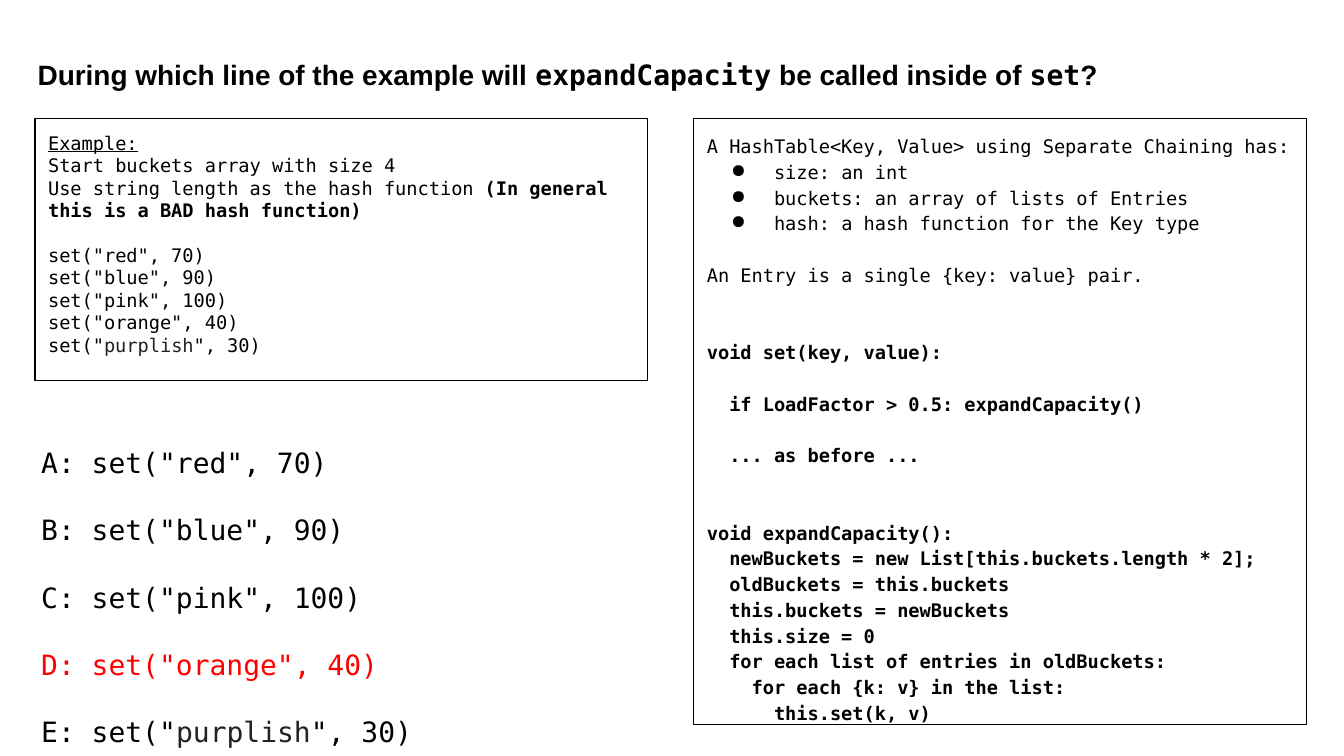
from lxml.etree import SubElement
from pptx import Presentation
from pptx.dml.color import RGBColor
from pptx.enum.shapes import MSO_SHAPE
from pptx.enum.text import MSO_ANCHOR, MSO_AUTO_SIZE, PP_ALIGN
from pptx.oxml.ns import qn
from pptx.util import Cm, Pt

BLACK = RGBColor(0x00, 0x00, 0x00)
GRAY = RGBColor(0x22, 0x22, 0x22)
RED = RGBColor(0xFF, 0x00, 0x00)
MONO = "DejaVu Sans Mono"
SANS = "Arial"
INSET = Cm(0.25)


def add_run(p, text, size=10, font=MONO, color=BLACK, bold=False, underline=False):
    r = p.add_run()
    r.text = text
    r.font.size = Pt(size)
    r.font.name = font
    r.font.color.rgb = color
    r.font.bold = bold
    r.font.underline = underline


def add_paragraph(tf, spacing=1.0, before=0):
    """Set up the frame on its first paragraph, then append further ones."""
    p = tf.paragraphs[0]
    if p.runs:
        p = tf.add_paragraph()
    else:
        tf.word_wrap = True
        tf.auto_size = MSO_AUTO_SIZE.NONE
        tf.vertical_anchor = MSO_ANCHOR.TOP
        tf.margin_left = tf.margin_right = INSET
        tf.margin_top = tf.margin_bottom = INSET
    p.alignment = PP_ALIGN.LEFT
    p.line_spacing = spacing
    p.space_before = Pt(before)
    return p


prs = Presentation()
prs.slide_width = Cm(25.4)
prs.slide_height = Cm(14.29)
s = prs.slides.add_slide(prs.slide_layouts[5])

# Title
title = s.shapes.title
title.left, title.top = Cm(0.46), Cm(0.74)
title.width, title.height = Cm(24.66), Cm(1.4)
p = add_paragraph(title.text_frame, spacing=1.15)
for text, font in [
    ("During which line of the example will ", SANS),
    ("expandCapacity", MONO),
    (" be called inside of ", SANS),
    ("set", MONO),
    ("?", SANS),
]:
    add_run(p, text, size=15, font=font, bold=True)

# Outlined boxes: example on the left, hash table code on the right
frames = []
for left, height in [(0.66, 4.95), (13.11, 11.46)]:
    sp = s.shapes.add_shape(MSO_SHAPE.RECTANGLE, Cm(left), Cm(2.24), Cm(11.58), Cm(height))
    sp.shadow.inherit = False
    sp.fill.background()
    sp.line.color.rgb = BLACK
    sp.line.width = Pt(0.75)
    frames.append(sp.text_frame)
example, code = frames

# Example text
add_run(add_paragraph(example), "Example:", underline=True)
add_run(add_paragraph(example), "Start buckets array with size 4")
p = add_paragraph(example)
add_run(p, "Use string length as the hash function ")
add_run(p, "(In general this is a BAD hash function)", bold=True)

# The same calls appear in the example and as the answer options
options = s.shapes.add_textbox(Cm(0.53), Cm(7.54), Cm(10.72), Cm(5.26)).text_frame
calls = [("red", 70), ("blue", 90), ("pink", 100), ("orange", 40), ("purplish", 30)]
for letter, (key, value) in zip("ABCDE", calls):
    before = 12 if letter == "A" else 0
    answer = RED if letter == "D" else BLACK
    for p, prefix, size, color in [
        (add_paragraph(example, before=before), "", 10, BLACK),
        (add_paragraph(options, spacing=2.0), f"{letter}: ", 15, answer),
    ]:
        add_run(p, f'{prefix}set("', size=size, color=color)
        add_run(p, key, size=size, color=GRAY if key == "purplish" else color)
        add_run(p, f'", {value})', size=size, color=color)

# Hash table description
add_run(add_paragraph(code, spacing=1.15), "A HashTable<Key, Value> using Separate Chaining has:")
for text in [
    "size: an int",
    "buckets: an array of lists of Entries",
    "hash: a hash function for the Key type",
]:
    p = add_paragraph(code, spacing=1.15)
    pPr = p._p.get_or_add_pPr()
    pPr.set("marL", str(Cm(1.27)))
    pPr.set("indent", str(Cm(-0.81)))
    SubElement(pPr, qn("a:buChar"), char="●")
    add_run(p, text)

LINE = 13.8  # height of one code line in points
add_run(add_paragraph(code, spacing=1.15, before=LINE), "An Entry is a single {key: value} pair.")

# Pseudocode, with the number of free lines above each line
for gap, text in [
    (2, "void set(key, value):"),
    (1, "  if LoadFactor > 0.5: expandCapacity()"),
    (1, "  ... as before ..."),
    (2, "void expandCapacity():"),
    (0, "  newBuckets = new List[this.buckets.length * 2];"),
    (0, "  oldBuckets = this.buckets"),
    (0, "  this.buckets = newBuckets"),
    (0, "  this.size = 0"),
    (0, "  for each list of entries in oldBuckets:"),
    (0, "    for each {k: v} in the list:"),
    (0, "      this.set(k, v)"),
]:
    add_run(add_paragraph(code, spacing=1.15, before=gap * LINE), text, bold=True)

prs.save("out.pptx")
